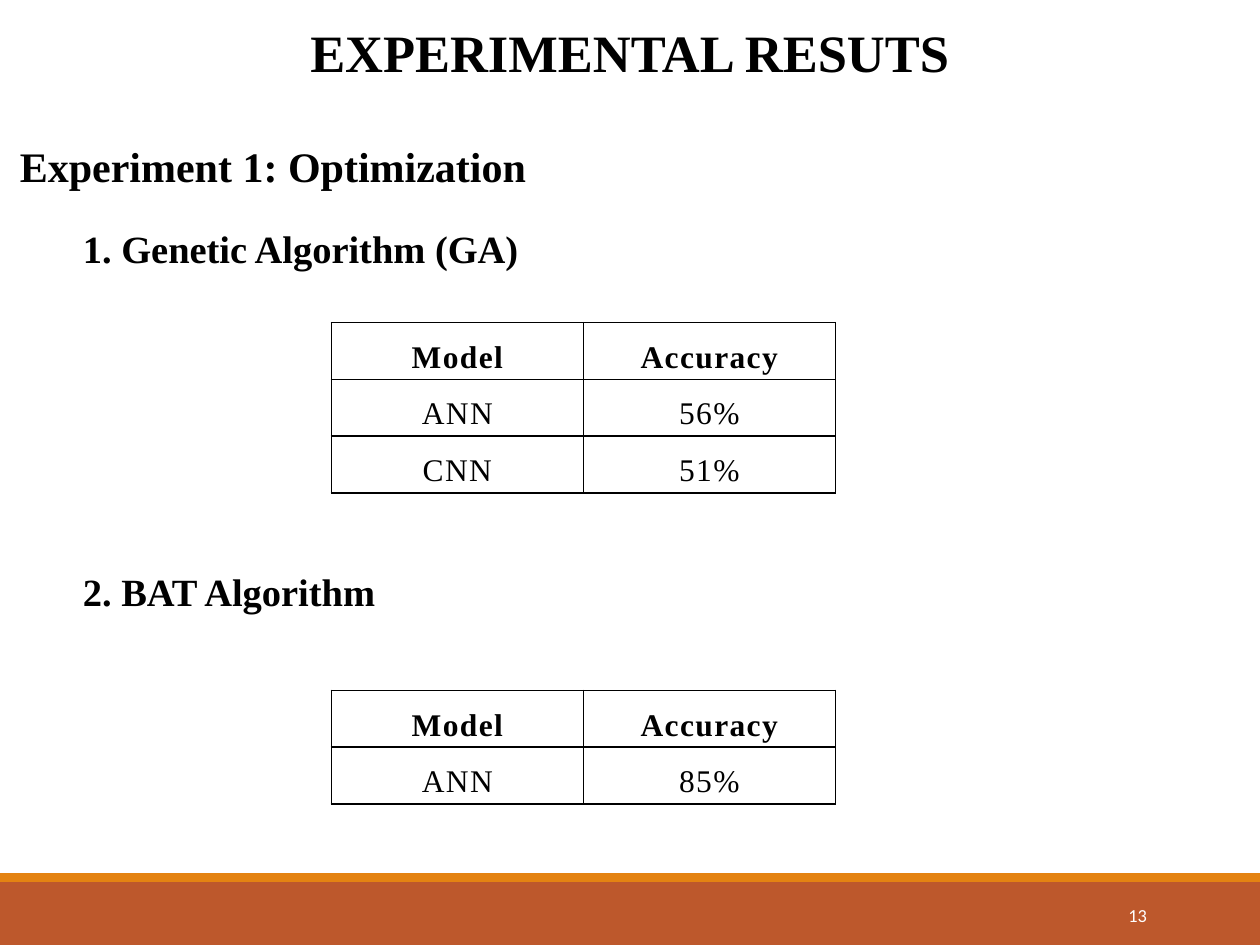
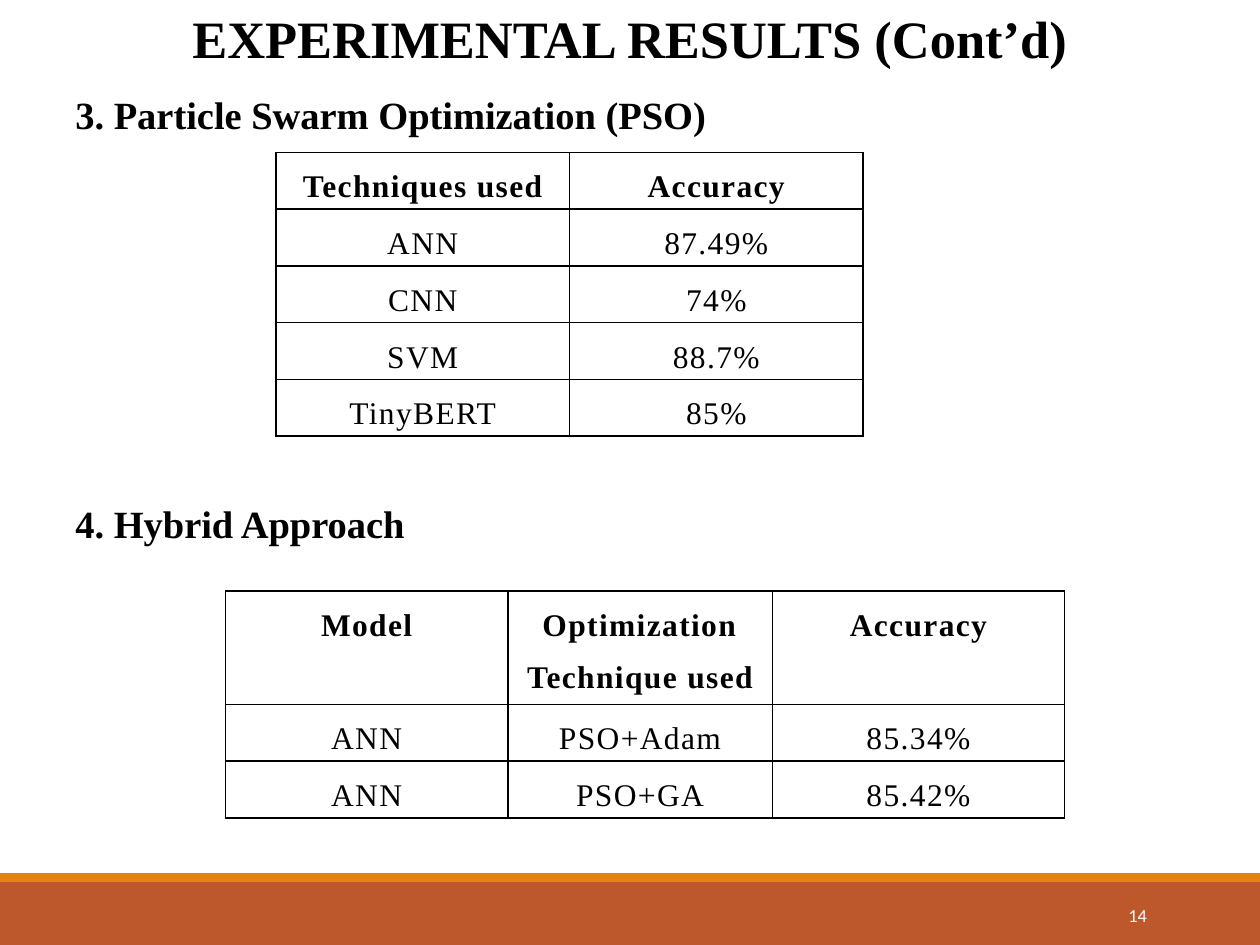
"""Build two slides that tabulate the accuracy of each optimization experiment."""
from lxml.etree import SubElement
from pptx import Presentation
from pptx.dml.color import RGBColor
from pptx.enum.shapes import MSO_SHAPE
from pptx.enum.text import MSO_ANCHOR, MSO_AUTO_SIZE, PP_ALIGN
from pptx.oxml.ns import qn
from pptx.util import Inches, Pt

BLACK = RGBColor(0x00, 0x00, 0x00)
WHITE = RGBColor(0xFF, 0xFF, 0xFF)
RUST = RGBColor(0xBD, 0x58, 0x2C)
ORANGE = RGBColor(0xE4, 0x83, 0x12)
SERIF = "Times New Roman"
ROW_HEIGHT = 0.45
FIRST_PAGE_NUMBER = 13

PAGES = [
    {
        "title": "EXPERIMENTAL RESUTS",
        "title_top": 0.11,
        "headings": [
            ("Experiment 1: Optimization", 0.06, 1.07, 24),
            ("1. Genetic Algorithm (GA)", 0.56, 1.74, 22),
            ("2. BAT Algorithm", 0.56, 4.46, 22),
        ],
        "tables": [
            (2.63, 2.56, [2, 2], 1,
             [("Model", "Accuracy"), ("ANN", "56%"), ("CNN", "51%")]),
            (2.63, 5.48, [2, 2], 1,
             [("Model", "Accuracy"), ("ANN", "85%")]),
        ],
    },
    {
        "title": "EXPERIMENTAL RESULTS (Cont’d)",
        "title_top": 0,
        "headings": [
            ("3. Particle Swarm Optimization (PSO)", 0.5, 0.67, 22),
            ("4. Hybrid Approach", 0.5, 3.92, 22),
        ],
        "tables": [
            (2.19, 1.21, [2.33, 2.33], 1,
             [("Techniques used", "Accuracy"), ("ANN", "87.49%"), ("CNN", "74%"),
              ("SVM", "88.7%"), ("TinyBERT", "85%")]),
            (1.79, 4.69, [2.24, 2.1, 2.32], 2,
             [("Model", "Optimization Technique used", "Accuracy"),
              ("ANN", "PSO+Adam", "85.34%"), ("ANN", "PSO+GA", "85.42%")]),
        ],
    },
]


def write(frame, text, size=18, bold=True, font=SERIF, color=BLACK, align=PP_ALIGN.LEFT):
    """Put one formatted line into a text frame and return its paragraph and span."""
    frame.word_wrap = True
    para = frame.paragraphs[0]
    para.alignment = align
    span = para.add_run()
    span.text = text
    span.font.size = Pt(size)
    span.font.bold = bold
    span.font.name = font
    span.font.color.rgb = color
    return para, span


def outline(cell):
    """Draw a one-point black border round a cell."""
    properties = cell._tc.get_or_add_tcPr()
    for side in ("a:lnL", "a:lnR", "a:lnT", "a:lnB"):
        line = SubElement(properties, qn(side), w=str(Pt(1)))
        fill = SubElement(line, qn("a:solidFill"))
        SubElement(fill, qn("a:srgbClr"), val=str(BLACK))


deck = Presentation()
deck.slide_width = Inches(10)
deck.slide_height = Inches(7.5)
layout = deck.slide_layouts[5]

for number, content in enumerate(PAGES, FIRST_PAGE_NUMBER):
    page = deck.slides.add_slide(layout)

    if number == FIRST_PAGE_NUMBER:
        for top, height, color in ((6.93, 0.07, ORANGE), (7, 0.5, RUST)):
            band = page.shapes.add_shape(
                MSO_SHAPE.RECTANGLE, 0, Inches(top), Inches(10), Inches(height))
            band.shadow.inherit = False
            band.fill.solid()
            band.fill.fore_color.rgb = color
            band.line.fill.background()
            layout.shapes.element.insert(2, band.element)

    title = page.shapes.title
    title.left, title.top = Inches(0), Inches(content["title_top"])
    title.width, title.height = Inches(10), Inches(0.61)
    title.text_frame.auto_size = MSO_AUTO_SIZE.NONE
    title.text_frame.vertical_anchor = MSO_ANCHOR.TOP
    write(title.text_frame, content["title"], size=30, align=PP_ALIGN.CENTER)

    for text, left, top, size in content["headings"]:
        box = page.shapes.add_textbox(
            Inches(left), Inches(top), Inches(10 - left), Inches(0.47))
        write(box.text_frame, text, size=size)

    for left, top, widths, header_lines, rows in content["tables"]:
        heights = [ROW_HEIGHT * header_lines] + [ROW_HEIGHT] * (len(rows) - 1)
        table = page.shapes.add_table(
            len(rows), len(widths), Inches(left), Inches(top),
            Inches(sum(widths)), Inches(sum(heights))).table
        table.first_row = False
        table.horz_banding = False
        for column, width in zip(table.columns, widths):
            column.width = Inches(width)
        for row_index, (values, height) in enumerate(zip(rows, heights)):
            table.rows[row_index].height = Inches(height)
            for column_index, value in enumerate(values):
                cell = table.cell(row_index, column_index)
                cell.margin_left = cell.margin_right = Inches(0.07)
                cell.margin_top = cell.margin_bottom = 0
                outline(cell)
                cell.fill.background()
                para, span = write(cell.text_frame, value, bold=row_index == 0,
                                   align=PP_ALIGN.CENTER)
                para.line_spacing = 1.5
                para.space_after = Pt(6)
                span.font._element.set("spc", "80")

    box = page.shapes.add_textbox(Inches(8.12), Inches(7.06), Inches(1.08), Inches(0.4))
    box.text_frame.vertical_anchor = MSO_ANCHOR.MIDDLE
    write(box.text_frame, str(number), size=10.5, bold=False, font="Calibri",
          color=WHITE, align=PP_ALIGN.RIGHT)

deck.save("out.pptx")
